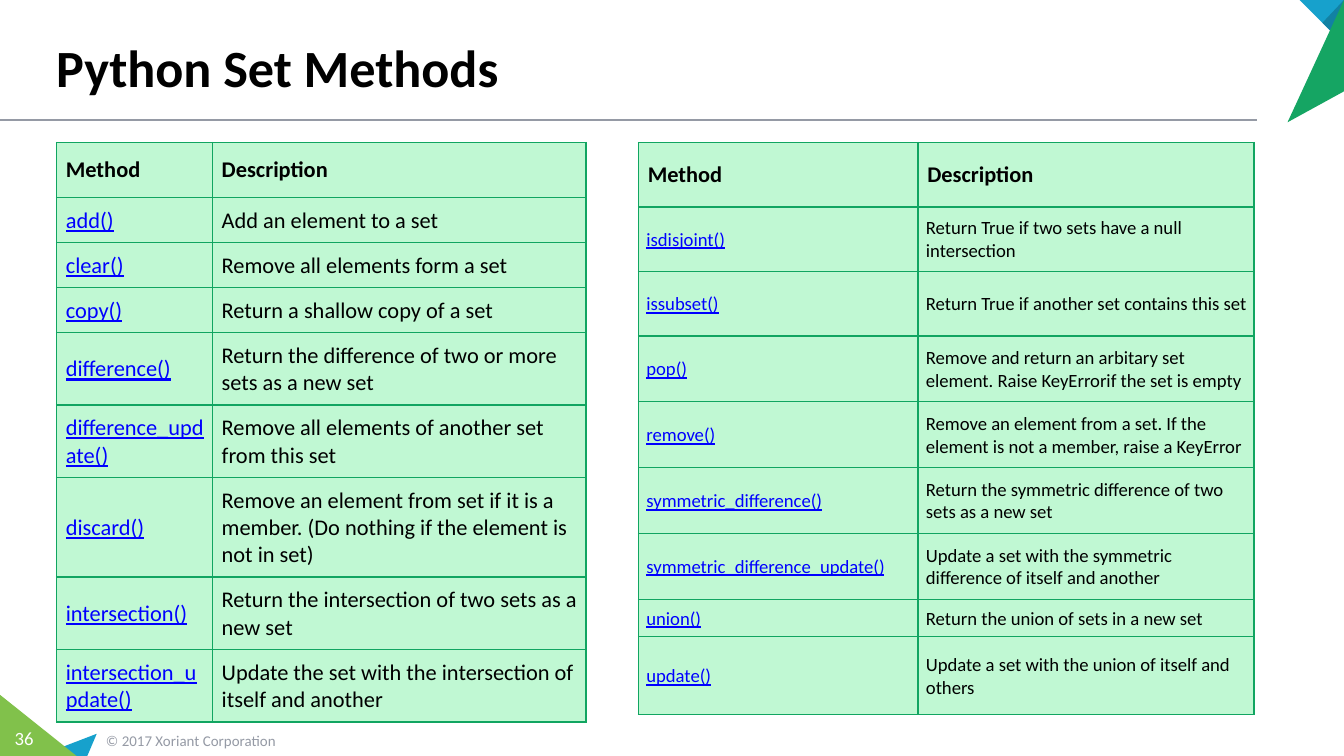
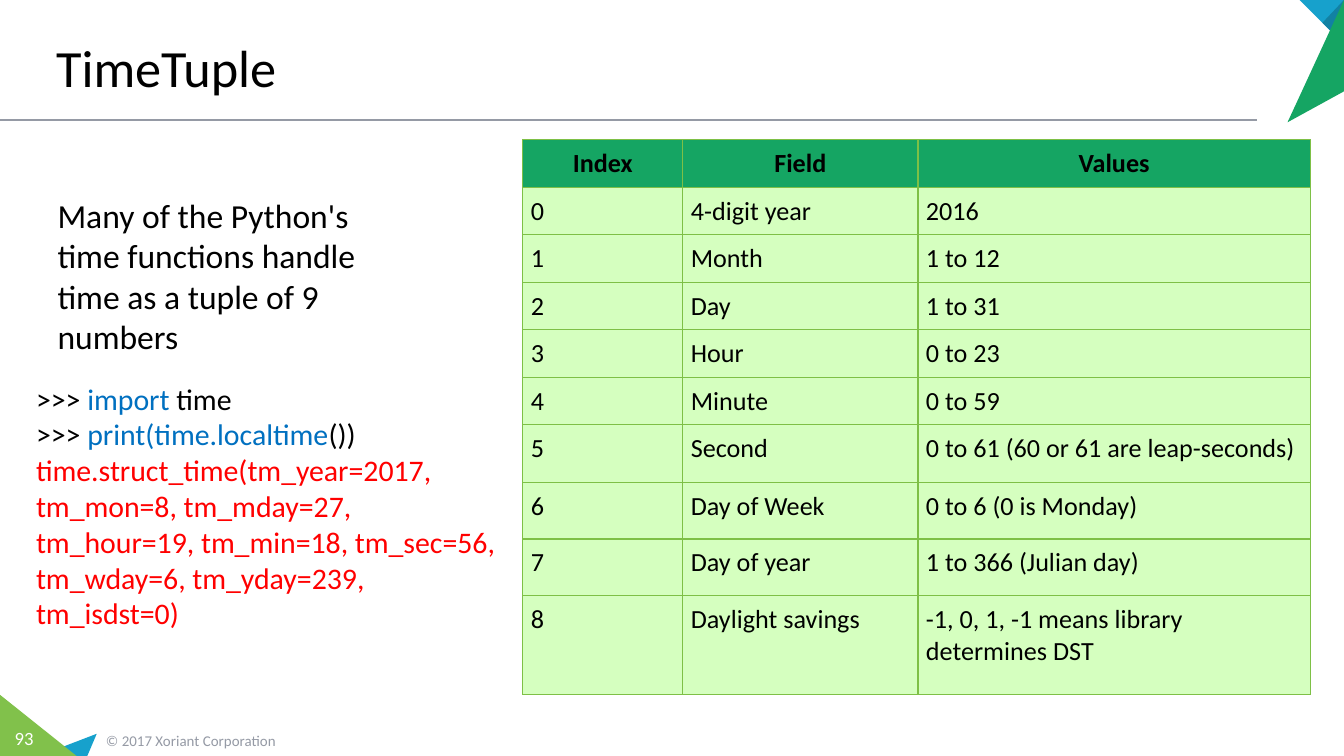
from dataclasses import dataclass

from lxml import etree
from pptx import Presentation
from pptx.dml.color import RGBColor
from pptx.enum.shapes import MSO_CONNECTOR
from pptx.enum.text import MSO_ANCHOR, PP_ALIGN
from pptx.oxml.ns import qn
from pptx.util import Inches, Pt

STRAIGHT = MSO_CONNECTOR.STRAIGHT
TOP, MIDDLE, BOTTOM = MSO_ANCHOR.TOP, MSO_ANCHOR.MIDDLE, MSO_ANCHOR.BOTTOM
LEFT, CENTER = PP_ALIGN.LEFT, PP_ALIGN.CENTER

# The page is a grid of 100 columns by 56.25 rows of square cells
UNIT = Inches(0.1)
COLUMNS, ROWS = 100, 56.25


@dataclass(frozen=True)
class Theme:
    font: str = "Calibri"
    ink: str = "000000"
    white: str = "FFFFFF"
    grey: str = "959AA5"
    blue: str = "17A1CC"
    deep_blue: str = "1281A3"
    green: str = "15A563"
    lime: str = "81C14B"
    link: str = "0000FF"
    keyword: str = "0070C0"
    output: str = "FF0000"
    mint: str = "C0F8D3"
    mint_edge: str = "11A561"
    pale_lime: str = "D5FFBF"
    lime_edge: str = "7EC046"
    title: int = 28
    lead: int = 18
    code: int = 16
    table: int = 14
    method: int = 12
    small: int = 10
    footer: int = 8
    edge: float = 0.75


THEME = Theme()


@dataclass(frozen=True)
class TableLook:
    fill: str
    edge: str
    header_fill: str
    header_size: int
    body_size: int
    header_insets: tuple
    body_insets: tuple
    anchor: MSO_ANCHOR = MIDDLE
    header_align: PP_ALIGN = LEFT
    linked_names: bool = True


METHODS = TableLook(THEME.mint, THEME.mint_edge, THEME.mint, THEME.method, THEME.method,
                    (0.7, 1, 0.6, 1), (0.7, 0.7, 0.6, 0.6))
SMALL_METHODS = TableLook(THEME.mint, THEME.mint_edge, THEME.mint, THEME.method, THEME.small,
                          (0.7, 1, 0.6, 1), (0.6, 0.6, 0.4, 0.5))
FIELDS = TableLook(THEME.pale_lime, THEME.lime_edge, THEME.green, THEME.table, THEME.table,
                   (0.6,) * 4, (0.6,) * 4, TOP, CENTER, False)


def grid(*cells):
    return [round(cell * UNIT) for cell in cells]


def set_all(target, values):
    for name, value in values.items():
        setattr(target, name, value)


def fill_with(target, color):
    target.fill.solid()
    target.fill.fore_color.rgb = RGBColor.from_string(color)


def add_span(para, text, size, color, bold=False, underline=False):
    span = para.add_run()
    span.text = text
    set_all(span.font, {"name": THEME.font, "size": Pt(size), "bold": bold,
                        "underline": underline})
    span.font.color.rgb = RGBColor.from_string(color)


def add_text(page, place, paragraphs, size, anchor=TOP, align=LEFT,
             insets=(1, 0.5, 1, 0.5), bold=False):
    """Each paragraph is a list of (text, color) spans."""
    frame = page.shapes.add_textbox(*grid(*place)).text_frame
    left, top, right, bottom = grid(*insets)
    set_all(frame, {"word_wrap": True, "vertical_anchor": anchor, "margin_left": left,
                    "margin_top": top, "margin_right": right, "margin_bottom": bottom})
    for index, spans in enumerate(paragraphs):
        para = frame.add_paragraph() if index else frame.paragraphs[0]
        para.alignment = align
        for text, color in spans:
            add_span(para, text, size, color, bold)


def add_triangle(page, color, *corners):
    start, *others = [grid(*corner) for corner in corners]
    builder = page.shapes.build_freeform(*start)
    builder.add_line_segments(others, close=True)
    shape = builder.convert_to_shape()
    shape.shadow.inherit = False
    fill_with(shape, color)
    shape.line.fill.background()


def add_rule(page, row, end_column):
    rule = page.shapes.add_connector(STRAIGHT, *grid(0, row, end_column, row))
    rule.line.color.rgb = RGBColor.from_string(THEME.grey)
    rule.line.width = Pt(1)
    etree.SubElement(rule._element.spPr, qn("a:effectLst"))


def add_borders(cell, color):
    properties = cell._tc.get_or_add_tcPr()
    for index, side in enumerate(("lnL", "lnR", "lnT", "lnB")):
        line = etree.Element(qn("a:" + side), w=str(Pt(THEME.edge)))
        fill = etree.SubElement(line, qn("a:solidFill"))
        etree.SubElement(fill, qn("a:srgbClr"), val=color)
        properties.insert(index, line)


def fill_cell(cell, text, look, is_header, is_name):
    left, top, right, bottom = grid(*(look.header_insets if is_header else look.body_insets))
    set_all(cell, {"vertical_anchor": look.anchor, "margin_left": left, "margin_top": top,
                   "margin_right": right, "margin_bottom": bottom})
    fill_with(cell, look.header_fill if is_header else look.fill)
    add_borders(cell, look.edge)
    para = cell.text_frame.paragraphs[0]
    para.alignment = look.header_align if is_header else LEFT
    is_link = look.linked_names and is_name and not is_header
    add_span(para, text, look.header_size if is_header else look.body_size,
             THEME.link if is_link else THEME.ink, is_header, is_link)


def add_grid_table(page, left, top, widths, heights, records, look):
    place = grid(left, top, sum(widths), sum(heights))
    table = page.shapes.add_table(len(heights), len(widths), *place).table
    table.horz_banding = False
    for column, width in zip(table.columns, grid(*widths)):
        column.width = width
    for row, height in zip(table.rows, grid(*heights)):
        row.height = height
    for row, record in enumerate(records):
        for column, text in enumerate(record):
            fill_cell(table.cell(row, column), text, look, row == 0, column == 0)


def add_page(deck, title, number, bold=False):
    page = deck.slides.add_slide(deck.slide_layouts[6])
    add_rule(page, 8.9, 93.5)
    # Lower left corner and footer
    add_triangle(page, THEME.blue, (7.2, 54.6), (6.5, ROWS), (2.9, ROWS))
    add_triangle(page, THEME.lime, (0, 51.7), (5.7, ROWS), (0, ROWS))
    add_text(page, (6.9, 53.9, 23.3, 2.4), [[("© 2017 Xoriant Corporation", THEME.grey)]],
             THEME.footer, MIDDLE)
    add_text(page, (0, 53.6, 3.6, 2.7), [[(number, THEME.white)]], THEME.small,
             align=CENTER, insets=(0, 0.5, 0, 0.5))
    # Upper right corner
    add_triangle(page, THEME.blue, (96.7, 0), (COLUMNS, 0), (COLUMNS, 3.3))
    add_triangle(page, THEME.deep_blue, (98.4, 1.7), (COLUMNS, 0), (COLUMNS, 3.3))
    add_triangle(page, THEME.green, (95.8, 9.1), (COLUMNS, 0), (COLUMNS, 6.8))
    add_text(page, (3.2, 0.6, 90, 7.2), [[(title, THEME.ink)]], THEME.title, BOTTOM, bold=bold)
    return page


def build_set_methods(deck):
    page = add_page(deck, "Python Set Methods", "36", bold=True)
    header = ("Method", "Description")
    add_grid_table(page, 4.2, 10.6, (11.6, 27.8),
                   (4.1, 3.35, 3.35, 3.35, 5.4, 5.4, 7.4, 5.4, 5.4), [
        header,
        ("add()", "Add an element to a set"),
        ("clear()", "Remove all elements form a set"),
        ("copy()", "Return a shallow copy of a set"),
        ("difference()", "Return the difference of two or more sets as a new set"),
        ("difference_update()", "Remove all elements of another set from this set"),
        ("discard()", "Remove an element from set if it is a member. "
                      "(Do nothing if the element is not in set)"),
        ("intersection()", "Return the intersection of two sets as a new set"),
        ("intersection_update()", "Update the set with the intersection of itself and another"),
    ], METHODS)
    add_grid_table(page, 47.5, 10.6, (20.8, 25),
                   (4.8, 4.8, 4.8, 4.9, 4.9, 4.9, 4.9, 2.8, 5.8), [
        header,
        ("isdisjoint()", "Return True if two sets have a null intersection"),
        ("issubset()", "Return True if another set contains this set"),
        ("pop()", "Remove and return an arbitary set element. "
                  "Raise KeyErrorif the set is empty"),
        ("remove()", "Remove an element from a set. "
                     "If the element is not a member, raise a KeyError"),
        ("symmetric_difference()", "Return the symmetric difference of two sets as a new set"),
        ("symmetric_difference_update()",
         "Update a set with the symmetric difference of itself and another"),
        ("union()", "Return the union of sets in a new set"),
        ("update()", "Update a set with the union of itself and others"),
    ], SMALL_METHODS)


def build_time_tuple(deck):
    page = add_page(deck, "TimeTuple", "93")
    fields = [
        ("4-digit year", "2016"),
        ("Month", "1 to 12"),
        ("Day", "1 to 31"),
        ("Hour", "0 to 23"),
        ("Minute", "0 to 59"),
        ("Second", "0 to 61 (60 or 61 are leap-seconds)"),
        ("Day of Week", "0 to 6 (0 is Monday)"),
        ("Day of year", "1 to 366 (Julian day)"),
        ("Daylight savings", "-1, 0, 1, -1 means library determines DST"),
    ]
    records = [("Index", "Field", "Values")]
    records += [(str(index), *field) for index, field in enumerate(fields)]
    add_grid_table(page, 38.9, 10.4, (11.9, 17.5, 29.2),
                   (3.5,) * 6 + (4.3, 4.2, 4.2, 7.4), records, FIELDS)
    # Explanation and interpreter session
    add_text(page, (3.3, 14, 26.7, 13.1),
             [[("Many of the Python's time functions handle time as a tuple of 9 numbers",
                THEME.ink)]], THEME.lead)
    add_text(page, (1.7, 27.8, 36.7, 19.9), [
        [(">>> ", THEME.ink), ("import", THEME.keyword), (" time", THEME.ink)],
        [(">>> ", THEME.ink), ("print(time.localtime", THEME.keyword), ("())", THEME.ink)],
        [("time.struct_time(tm_year=2017, tm_mon=8, tm_mday=27, tm_hour=19, tm_min=18, "
          "tm_sec=56, tm_wday=6, tm_yday=239, tm_isdst=0)", THEME.output)],
    ], THEME.code)


def main():
    deck = Presentation()
    deck.slide_width, deck.slide_height = grid(COLUMNS, ROWS)
    build_set_methods(deck)
    build_time_tuple(deck)
    deck.save("out.pptx")


if __name__ == "__main__":
    main()
